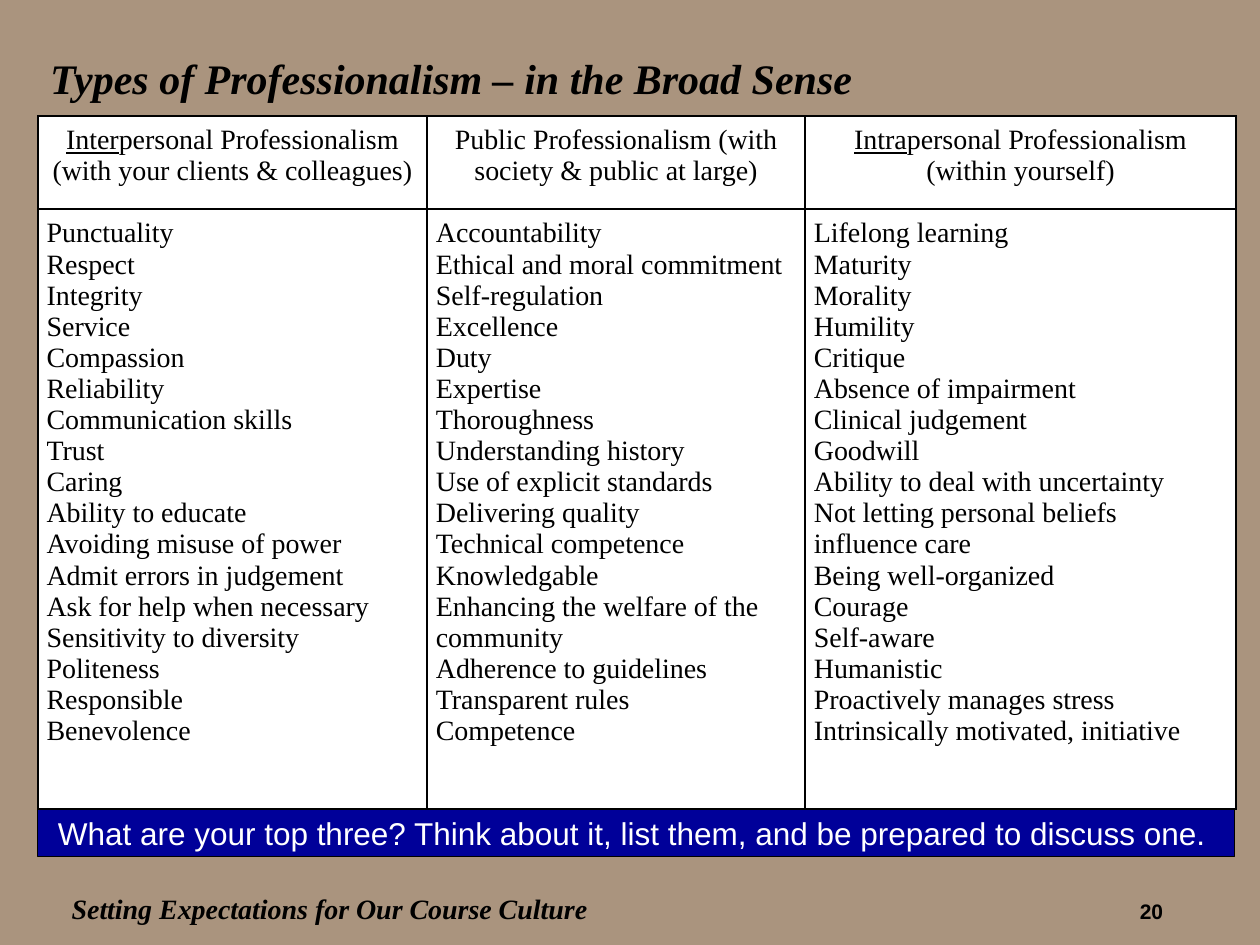
from lxml.etree import SubElement
from pptx import Presentation
from pptx.dml.color import RGBColor
from pptx.enum.shapes import MSO_SHAPE
from pptx.enum.text import MSO_ANCHOR, PP_ALIGN
from pptx.oxml.ns import qn
from pptx.util import Inches, Pt

THEME = {
    "tan": RGBColor.from_string("AA947E"),
    "paper": RGBColor.from_string("FFFFFF"),
    "ink": RGBColor.from_string("000000"),
    "navy": RGBColor.from_string("000099"),
    "serif": "Times New Roman",
    "sans": "Arial",
    "title": Pt(24),
    "banner": Pt(18),
    "body": Pt(16),
    "number": Pt(12),
    "border": Pt(1),
    "outline": Pt(0.75),
}

# Each heading is an underlined prefix, the rest of the heading, and its traits
TYPES = [
    ("Inter", "personal Professionalism (with your clients & colleagues)", [
        "Punctuality", "Respect", "Integrity", "Service", "Compassion",
        "Reliability", "Communication skills", "Trust", "Caring",
        "Ability to educate", "Avoiding misuse of power",
        "Admit errors in judgement", "Ask for help when necessary",
        "Sensitivity to diversity", "Politeness", "Responsible", "Benevolence",
    ]),
    ("", "Public Professionalism (with society & public at large)", [
        "Accountability", "Ethical and moral commitment", "Self-regulation",
        "Excellence", "Duty", "Expertise", "Thoroughness",
        "Understanding history", "Use of explicit standards",
        "Delivering quality", "Technical competence", "Knowledgable",
        "Enhancing the welfare of the community", "Adherence to guidelines",
        "Transparent rules", "Competence",
    ]),
    ("Intra", "personal Professionalism (within yourself)", [
        "Lifelong learning", "Maturity", "Morality", "Humility", "Critique",
        "Absence of impairment", "Clinical judgement", "Goodwill",
        "Ability to deal with uncertainty",
        "Not letting personal beliefs influence care", "Being well-organized",
        "Courage", "Self-aware", "Humanistic", "Proactively manages stress",
        "Intrinsically motivated, initiative",
    ]),
]


def add_run(paragraph, text, size, face, color=THEME["ink"], **styles):
    run = paragraph.add_run()
    run.text = text
    run.font.color.rgb = color
    for key, value in {"size": size, "name": face, **styles}.items():
        setattr(run.font, key, value)


def prepare_cell(cell):
    """Give a table cell its margins, black borders and white fill."""
    for side in ("left", "right", "top", "bottom"):
        setattr(cell, f"margin_{side}", Inches(0.07))
    properties = cell._tc.get_or_add_tcPr()
    for tag in ("a:lnL", "a:lnR", "a:lnT", "a:lnB"):
        border = SubElement(properties, qn(tag), w=str(THEME["border"]))
        ink = SubElement(border, qn("a:solidFill"))
        SubElement(ink, qn("a:srgbClr"), val=str(THEME["ink"]))
    cell.fill.solid()
    cell.fill.fore_color.rgb = THEME["paper"]


deck = Presentation()
deck.slide_width, deck.slide_height = Inches(10), Inches(7.5)
COL, ROW = deck.slide_width / 100, deck.slide_height / 75
slide = deck.slides.add_slide(deck.slide_layouts[6])
slide.background.fill.solid()
slide.background.fill.fore_color.rgb = THEME["tan"]

LEFT, WIDTH = 3, 95
TABLE_TOP = 9.2
COLUMN_SPANS = (30.9, 30, 34.2)
ROW_SPANS = (7.4, 47.6)
BANNER_TOP = TABLE_TOP + sum(ROW_SPANS)

# Table of the three types
table = slide.shapes.add_table(
    len(ROW_SPANS), len(TYPES), int(LEFT * COL), int(TABLE_TOP * ROW),
    int(WIDTH * COL), int(sum(ROW_SPANS) * ROW)).table
table.first_row = table.horz_banding = False
for row, span in zip(table.rows, ROW_SPANS):
    row.height = int(span * ROW)

for index, (prefix, rest, traits) in enumerate(TYPES):
    table.columns[index].width = int(COLUMN_SPANS[index] * COL)
    heading, listing = table.cell(0, index), table.cell(1, index)
    prepare_cell(heading)
    prepare_cell(listing)

    line = heading.text_frame.paragraphs[0]
    line.alignment = PP_ALIGN.CENTER
    if prefix:
        add_run(line, prefix, THEME["body"], THEME["serif"], underline=True)
    add_run(line, rest, THEME["body"], THEME["serif"])

    for position, trait in enumerate(traits):
        frame = listing.text_frame
        line = frame.add_paragraph() if position else frame.paragraphs[0]
        add_run(line, trait, THEME["body"], THEME["serif"])

# Title, footer and slide number
slanted = {"bold": True, "italic": True}
LABELS = [
    ("Types of Professionalism – in the Broad Sense", (LEFT, 3.3, WIDTH, 5.8),
     "title", "serif", PP_ALIGN.LEFT, MSO_ANCHOR.MIDDLE, slanted),
    ("Setting Expectations for Our Course Culture", (4.7, 69.2, 45.3, 5.8),
     "body", "serif", PP_ALIGN.LEFT, MSO_ANCHOR.MIDDLE, slanted),
    ("20", (83.3, 70.8, 10, 2.5),
     "number", "sans", PP_ALIGN.RIGHT, MSO_ANCHOR.TOP, {"bold": True}),
]
for text, (x, y, w, h), size, face, alignment, anchor, styles in LABELS:
    frame = slide.shapes.add_textbox(
        int(x * COL), int(y * ROW), int(w * COL), int(h * ROW)).text_frame
    frame.word_wrap = True
    frame.vertical_anchor = anchor
    frame.paragraphs[0].alignment = alignment
    add_run(frame.paragraphs[0], text, THEME[size], THEME[face], **styles)

# Question banner below the table
banner = slide.shapes.add_shape(
    MSO_SHAPE.RECTANGLE, int(LEFT * COL), int(BANNER_TOP * ROW),
    int(WIDTH * COL), int(3.8 * ROW))
banner.shadow.inherit = False
banner.fill.solid()
banner.fill.fore_color.rgb = THEME["navy"]
banner.line.color.rgb = THEME["ink"]
banner.line.width = THEME["outline"]
banner.text_frame.word_wrap = True
banner.text_frame.vertical_anchor = MSO_ANCHOR.MIDDLE
question = banner.text_frame.paragraphs[0]
question.alignment = PP_ALIGN.CENTER
add_run(question,
        "What are your top three? Think about it, list them, "
        "and be prepared to discuss one. ",
        THEME["banner"], THEME["sans"], THEME["paper"])

deck.save("out.pptx")
